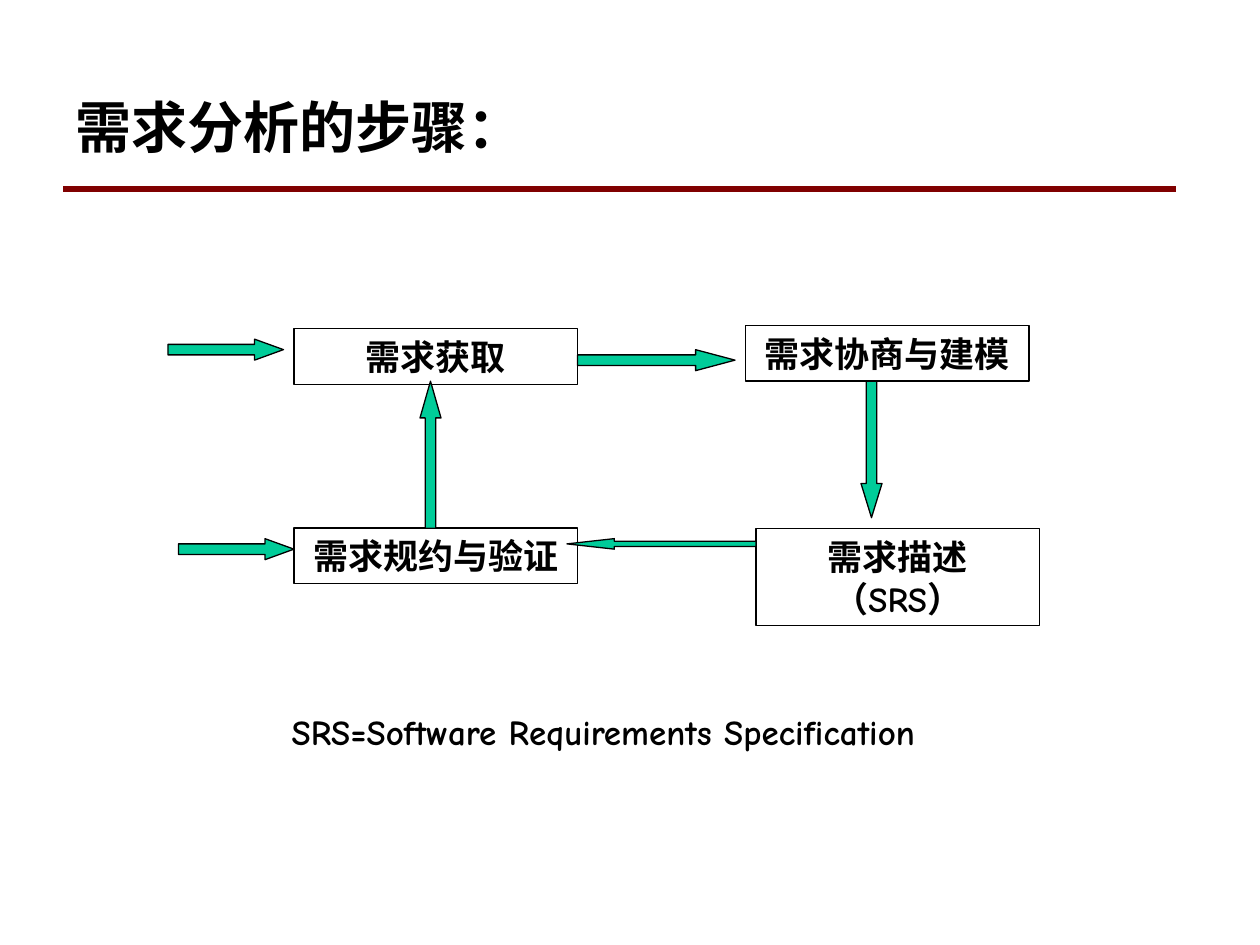
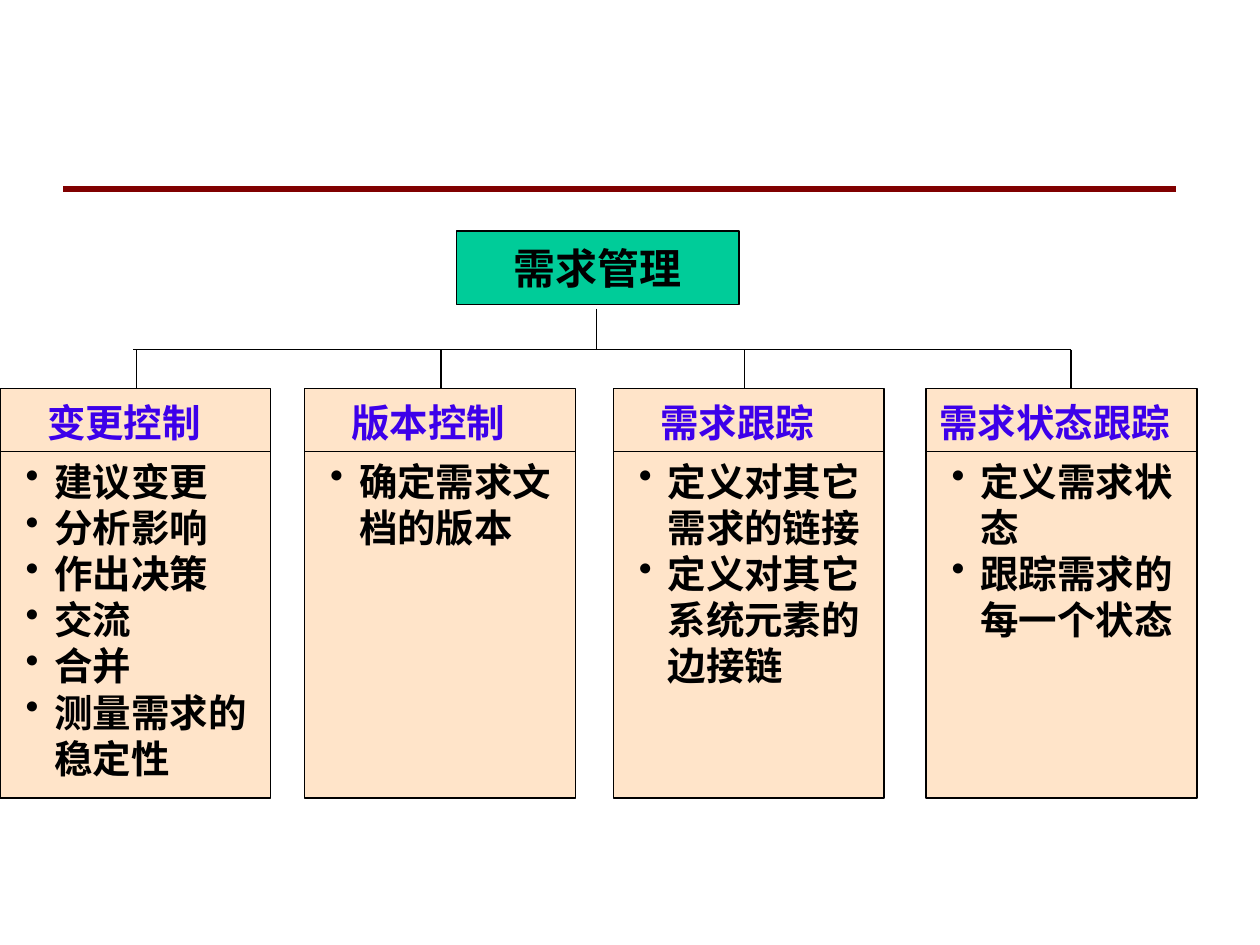
from lxml import etree
from pptx import Presentation
from pptx.dml.color import RGBColor
from pptx.enum.lang import MSO_LANGUAGE_ID
from pptx.enum.shapes import MSO_CONNECTOR, MSO_SHAPE
from pptx.enum.text import MSO_ANCHOR, PP_ALIGN
from pptx.oxml.ns import qn
from pptx.util import Inches, Pt

BLACK = RGBColor(0x00, 0x00, 0x00)
MAROON = RGBColor(0x80, 0x00, 0x00)
GREEN = RGBColor(0x00, 0xCC, 0x99)
PEACH = RGBColor(0xFF, 0xCC, 0x99)
VIOLET = RGBColor(0x3D, 0x00, 0xEA)

RECTANGLE = MSO_SHAPE.RECTANGLE
RIGHT, LEFT = MSO_SHAPE.RIGHT_ARROW, MSO_SHAPE.LEFT_ARROW
UP, DOWN = MSO_SHAPE.UP_ARROW, MSO_SHAPE.DOWN_ARROW
STRAIGHT = MSO_CONNECTOR.STRAIGHT
TOP, MIDDLE = MSO_ANCHOR.TOP, MSO_ANCHOR.MIDDLE
ALIGN_LEFT, ALIGN_CENTER = PP_ALIGN.LEFT, PP_ALIGN.CENTER
CHINESE = MSO_LANGUAGE_ID.SIMPLIFIED_CHINESE

TITLE_FONT, BODY_FONT = "Calibri", "Comic Neue"
HAIRLINE = 0.75
COLUMNS, ROWS = 120, 90


class Deck:
    """Draws on the current slide; places are columns and rows of a 120 by 90 grid."""

    def __init__(self):
        self.presentation = Presentation()
        self.presentation.slide_width = Inches(10)
        self.presentation.slide_height = Inches(7.5)
        self.slide = None

    def place(self, *lengths):
        """Turns alternating column and row lengths into slide lengths."""
        units = (self.presentation.slide_width / COLUMNS,
                 self.presentation.slide_height / ROWS)
        return [round(length * units[i % 2]) for i, length in enumerate(lengths)]

    def new_slide(self, title=None):
        self.slide = self.presentation.slides.add_slide(self.presentation.slide_layouts[6])
        self.line(6, 18, 112, 18, MAROON, 3)
        if title:
            self.text([title], 6, 6, 106, 12, size=32, font=TITLE_FONT)

    def line(self, x1, y1, x2, y2, color=BLACK, width=HAIRLINE):
        line = self.slide.shapes.add_connector(STRAIGHT, *self.place(x1, y1, x2, y2))
        line.line.color.rgb = color
        line.line.width = Pt(width)
        etree.SubElement(line._element.spPr, qn("a:effectLst"))

    def shape(self, kind, left, top, width, height, fill=None, opacity=None):
        shape = self.slide.shapes.add_shape(kind, *self.place(left, top, width, height))
        shape.shadow.inherit = False
        if fill is None:
            shape.fill.background()
        else:
            shape.fill.solid()
            shape.fill.fore_color.rgb = fill
        if opacity:
            color = shape._element.spPr.find(qn("a:solidFill"))[0]
            etree.SubElement(color, qn("a:alpha"), val=str(opacity * 1000))
        shape.line.color.rgb = BLACK
        shape.line.width = Pt(HAIRLINE)
        return shape

    def arrow(self, kind, left, top, width, height):
        """Block arrow whose head takes a quarter of its length."""
        arrow = self.shape(kind, left, top, width, height, GREEN)
        arrow.adjustments[0] = 0.5
        arrow.adjustments[1] = max(width, height) / min(width, height) / 4

    def box(self, label, left, top, width, height, size=20, fill=None):
        box = self.shape(RECTANGLE, left, top, width, height, fill)
        self.fill_text(box.text_frame, [label], size, align=ALIGN_CENTER)

    def text(self, lines, left, top, width, height, **style):
        text_box = self.slide.shapes.add_textbox(*self.place(left, top, width, height))
        self.fill_text(text_box.text_frame, lines, **style)

    def fill_text(self, frame, lines, size, font=BODY_FONT, color=BLACK, align=ALIGN_LEFT,
                  anchor=MIDDLE, wrap=True, inset=1.2, bullet_indent=0):
        frame.text = "\n".join(lines)
        frame.word_wrap = wrap
        frame.vertical_anchor = anchor
        frame.margin_left = frame.margin_right = self.place(inset)[0]
        for paragraph in frame.paragraphs:
            paragraph.alignment = align
            if bullet_indent:
                self.bullet(paragraph, bullet_indent)
            for run in paragraph.runs:
                run.font.name = font
                run.font.size = Pt(size)
                run.font.bold = True
                run.font.color.rgb = color
                run.font.language_id = CHINESE

    def bullet(self, paragraph, indent):
        properties = paragraph._p.get_or_add_pPr()
        hanging = self.place(indent)[0]
        properties.set("marL", str(hanging))
        properties.set("indent", str(-hanging))
        etree.SubElement(properties, qn("a:buChar"), char="•")

    def card(self, heading, points, left, heading_offset):
        top, width, height, heading_height = 37, 25.8, 39, 6
        body_top = top + heading_height
        self.shape(RECTANGLE, left, top, width, height, PEACH, opacity=53)
        self.line(left, body_top, left + width, body_top)
        self.text(points, left + 2.2, body_top, width - 2.2, height - heading_height,
                  inset=0.24, size=22, anchor=TOP, bullet_indent=2.75)
        self.text([heading], left + heading_offset, top + 0.4, width - heading_offset, 5.6,
                  wrap=False, size=22, color=VIOLET, anchor=TOP)


def steps_slide(deck):
    deck.new_slide("需求分析的步骤：")
    steps = [
        ("需求获取", 28, 31.3, 5.3),
        ("需求规约与验证", 28, 50.3, 5.3),
        ("需求描述（SRS）", 72, 50.3, 9.3),
        ("需求协商与建模", 71, 31, 5.3),
    ]
    for label, left, top, height in steps:
        deck.box(label, left, top, 27, height)
    arrows = [
        (RIGHT, 16, 32.3, 11, 2),
        (RIGHT, 17, 51.3, 11, 2),
        (UP, 40, 36.3, 2, 14),
        (RIGHT, 55, 33.3, 15, 2),
        (DOWN, 82, 36.3, 2, 13),
        (LEFT, 54, 51.3, 18, 1),
    ]
    for arrow in arrows:
        deck.arrow(*arrow)
    deck.text(["SRS=Software Requirements Specification"], 26.6, 67, 63.2, 5.3,
              wrap=False, size=20)


def management_slide(deck):
    deck.new_slide()
    deck.box("需求管理", 43.5, 22, 26.9, 7, size=24, fill=GREEN)
    branches = [
        ("变更控制", ["建议变更", "分析影响", "作出决策", "交流", "合并", "测量需求的稳定性"],
         0, 3.3, 13),
        ("版本控制", ["确定需求文档的版本"], 29, 3.3, 42),
        ("需求跟踪", ["定义对其它需求的链接", "定义对其它系统元素的边接链"], 58.4, 3.3, 70.9),
        ("需求状态跟踪", ["定义需求状态", "跟踪需求的每一个状态"], 88.2, 0.1, 102),
    ]
    bar_row = 33.3
    for heading, points, left, heading_offset, stem in branches:
        deck.card(heading, points, left, heading_offset)
        deck.line(stem, bar_row, stem, 37)
    deck.line(12.7, bar_row, 102, bar_row)
    deck.line(56.8, 29.4, 56.8, bar_row)


def main():
    deck = Deck()
    steps_slide(deck)
    management_slide(deck)
    deck.presentation.save("out.pptx")


if __name__ == "__main__":
    main()
